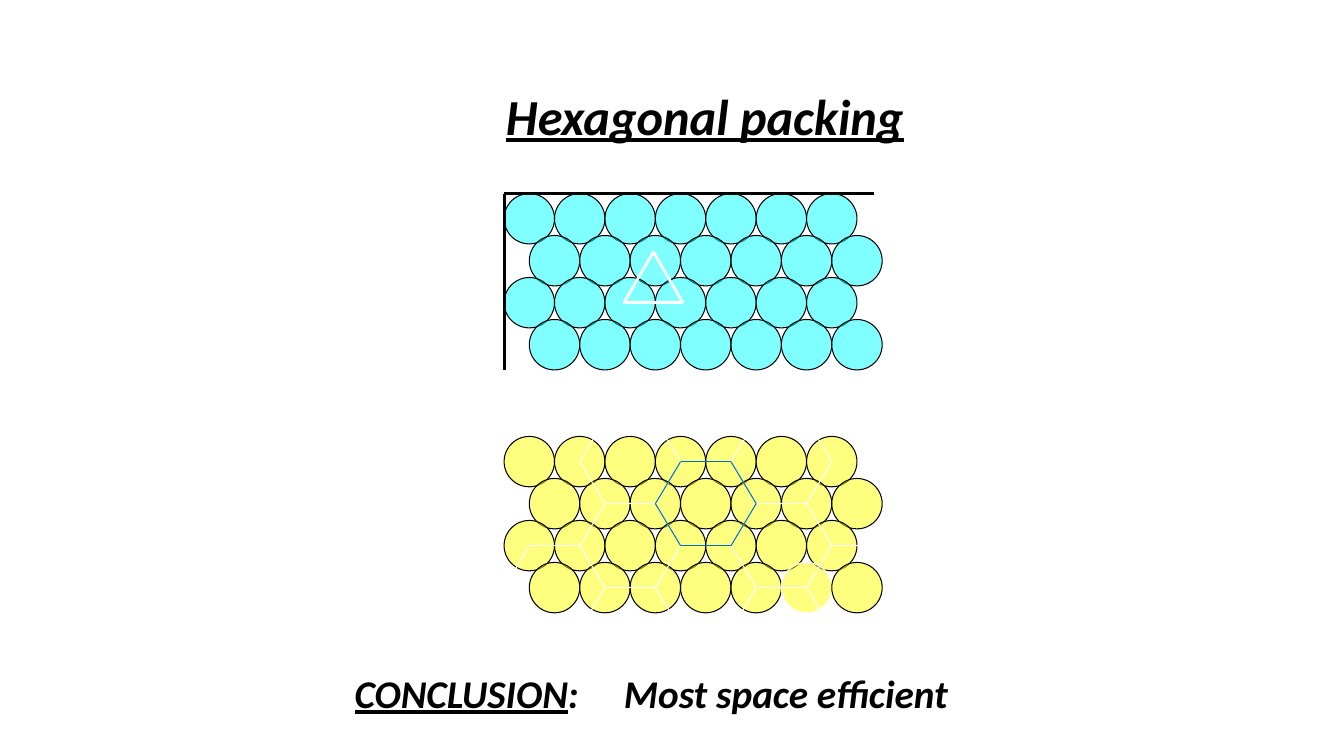
from lxml import etree
from pptx import Presentation
from pptx.dml.color import RGBColor
from pptx.enum.shapes import MSO_CONNECTOR, MSO_SHAPE
from pptx.enum.text import MSO_AUTO_SIZE
from pptx.oxml.ns import qn
from pptx.util import Inches, Pt

OVAL, TRIANGLE = MSO_SHAPE.OVAL, MSO_SHAPE.ISOSCELES_TRIANGLE
STRAIGHT = MSO_CONNECTOR.STRAIGHT
FIT_SHAPE = MSO_AUTO_SIZE.SHAPE_TO_FIT_TEXT

COLORS = {"ink": "000000", "white": "FFFFFF", "yellow": "FFFF00",
          "cyan": "00FFFF", "blue": "0070C0"}
FONT = "Calibri"

# Packing grid in inches: a column is one circle radius, a row one circle layer
COLUMN, ROW = 0.25, 5 / 12
DIAMETER = 2 * COLUMN
ROWS, CIRCLES_PER_ROW = 4, 7

# Hexagon corners and centres, in columns and rows of the packing grid
HEXAGON = [(-2, 0), (-1, -1), (1, -1), (2, 0), (1, 1), (-1, 1)]
OUTER_CENTRES = [(2, 3), (8, 3), (14, 3), (5, 0), (11, 0), (5, 2), (11, 2)]
INNER_CENTRE = (8, 1)
WHITE_RIMMED = (3, 5)  # row and place of the one circle with a white rim


def rgb(name):
    return RGBColor.from_string(COLORS[name])


def set_line(shape, color, width):
    shape.line.color.rgb = rgb(color)
    shape.line.width = Pt(width)


def add_outline(group, kind, left, top, width, height, color, weight):
    shape = group.shapes.add_shape(kind, Inches(left), Inches(top),
                                   Inches(width), Inches(height))
    shape.shadow.inherit = False
    shape.fill.background()
    set_line(shape, color, weight)
    return shape


def add_line(group, start, end, color, weight):
    line = group.shapes.add_connector(STRAIGHT, *map(Inches, (*start, *end)))
    set_line(line, color, weight)
    etree.SubElement(line._element.spPr, qn("a:effectLst"))


def add_circles(group, left, top, color, white_rimmed=None):
    """Lay rows of half-transparent circles, every second row shifted by a radius."""
    for row in range(ROWS):
        for place in range(CIRCLES_PER_ROW):
            rim = "white" if (row, place) == white_rimmed else "ink"
            circle = add_outline(group, OVAL, left + (2 * place + row % 2) * COLUMN,
                                 top + row * ROW, DIAMETER, DIAMETER, rim, 0.75)
            circle.fill.solid()
            circle.fill.fore_color.rgb = rgb(color)
            tint = circle._element.spPr.find(qn("a:solidFill")).find(qn("a:srgbClr"))
            etree.SubElement(tint, qn("a:alpha"), val="50000")


def hexagon_edges(centres):
    """Return each edge of the hexagons once, even where two hexagons share it."""
    edges = set()
    for column, row in centres:
        corners = [(column + dx, row + dy) for dx, dy in HEXAGON]
        edges.update(tuple(sorted(pair))
                     for pair in zip(corners, corners[1:] + corners[:1]))
    return sorted(edges)


def add_honeycomb(page, left, top):
    group = page.shapes.add_group_shape()
    add_circles(group, left, top, "yellow", WHITE_RIMMED)
    for centres, color in ((OUTER_CENTRES, "white"), ([INNER_CENTRE], "blue")):
        for edge in hexagon_edges(centres):
            start, end = [(left + column * COLUMN, top + COLUMN + row * ROW)
                          for column, row in edge]
            add_line(group, start, end, color, 0.75)


def add_corner_packing(page, left, top):
    group = page.shapes.add_group_shape()
    add_circles(group, left, top, "cyan")
    for end in ((left + 3.67, top), (left, top + 3 * ROW + DIAMETER)):
        add_line(group, (left, top), end, "ink", 2.25)
    add_outline(group, TRIANGLE, left + 1.19, top + 0.58, 0.58, 0.5, "white", 2)


def add_text(page, left, top, width, height, spans, size, tab=None):
    """Write (words, underlined) spans on one line, with an optional tab stop."""
    box = page.shapes.add_textbox(*map(Inches, (left, top, width, height)))
    frame = box.text_frame
    frame.word_wrap = True
    frame.auto_size = FIT_SHAPE
    para = frame.paragraphs[0]
    if tab:
        stops = etree.SubElement(para._p.get_or_add_pPr(), qn("a:tabLst"))
        etree.SubElement(stops, qn("a:tab"), pos=str(Inches(tab)), algn="l")
    for words, underlined in spans:
        span = para.add_run()
        span.text = words
        font = span.font
        font.name, font.size = FONT, Pt(size)
        font.bold = font.italic = True
        font.underline = underlined
        font.color.rgb = rgb("ink")


def main():
    deck = Presentation()
    deck.slide_width, deck.slide_height = Inches(13.33), Inches(7.5)
    page = deck.slides.add_slide(deck.slide_layouts[6])
    add_honeycomb(page, 5, 4.33)
    add_text(page, 4.92, 0.79, 4.19, 0.71, [("Hexagonal packing", True)], 36)
    add_text(page, 3.42, 6.59, 6.16, 0.57,
             [("CONCLUSION", True), (":\tMost space efficient", False)], 28, tab=2.67)
    add_corner_packing(page, 5, 1.92)
    deck.save("out.pptx")


if __name__ == "__main__":
    main()
